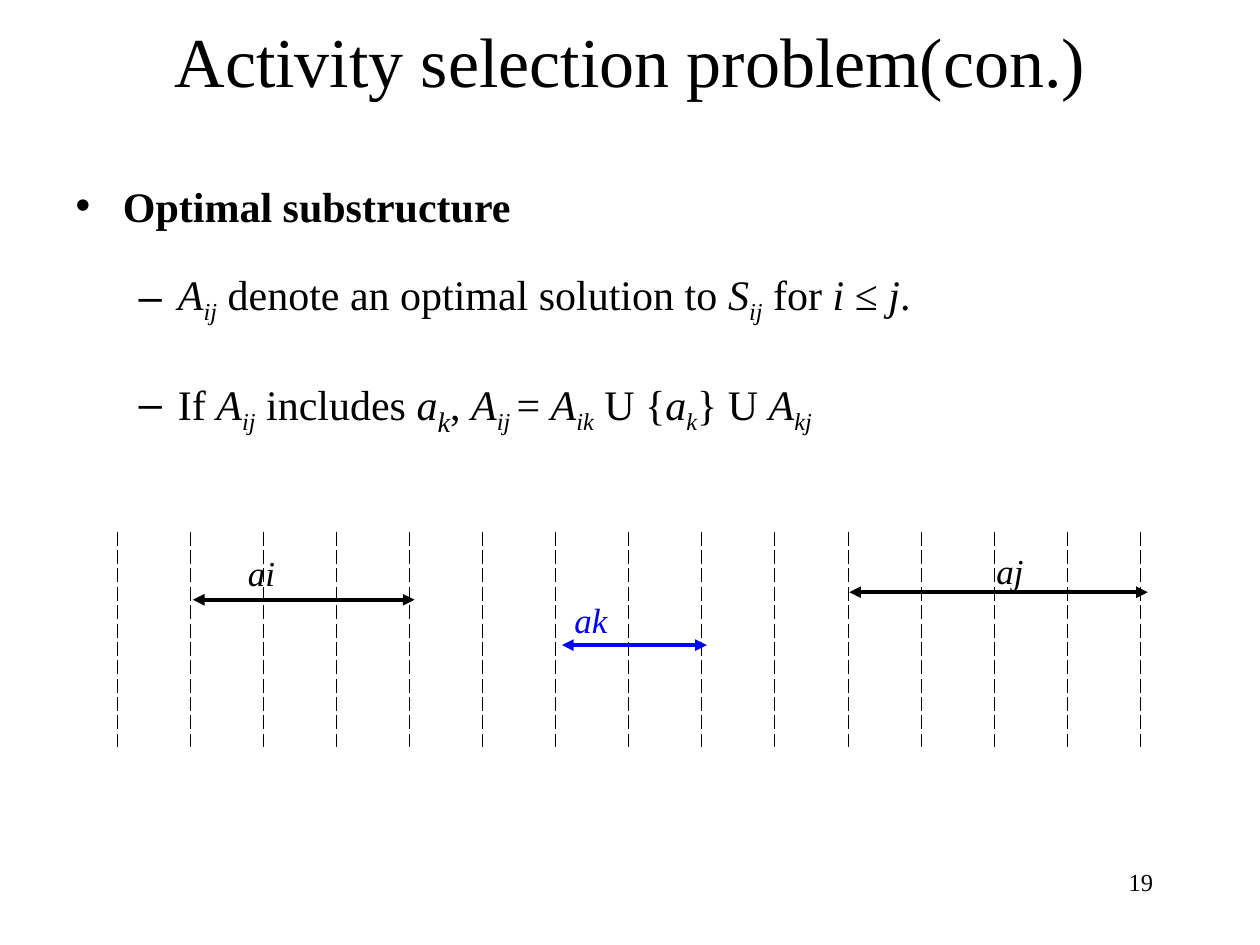
"""Build the activity selection slide with its timeline grid."""
from lxml import etree
from pptx import Presentation
from pptx import util as u
from pptx.dml.color import RGBColor
from pptx.enum import shapes, text
from pptx.oxml.ns import qn

FONT = "Times New Roman"
INK, BLUE = "000000", "0000FF"
TITLE = "Activity selection problem(con.)"
NUMBER = "19"
# Run styles: b bold, i italic, s subscript, l large
BODY = [
    (0, 0, [("Optimal substructure", "b")]),
    (1, 21.5, [("A", "i"), ("ij", "is"), (" denote an optimal solution to ", ""),
               ("S", "i"), ("ij", "is"), (" for ", ""), ("i ", "i"), ("≤", ""),
               (" j", "i"), (".", "")]),
    (1, 26, [("If ", ""), ("A", "i"), ("ij", "is"), (" includes ", ""),
             ("a", "i"), ("k", "isl"), (", ", ""), ("A", "i"), ("ij ", "is"),
             ("= ", ""), ("A", "i"), ("ik", "is"), (" U {", ""), ("a", "i"),
             ("k", "is"), ("} U ", ""), ("A", "i"), ("kj", "is")]),
]
LEFT, TOP, COL, COLS = 0.35, 3.78, 0.58, 16
ROWS = [0.44, 0.57, 0.57, 0.57]
# Label, colour, arrow start, arrow end, arrow height, label box
SPANS = [
    ("ai", INK, 1.53, 3.29, 4.76, (1.87, 4.33, 1.16, 0.44)),
    ("ak", BLUE, 4.46, 5.61, 5.12, (4.46, 4.7, 1.21, 0.44)),
    ("aj", INK, 6.74, 9.11, 4.7, (7.81, 4.31, 0.5, 0.44)),
]


def tint(code):
    """Turn a hex string into a colour."""
    return RGBColor.from_string(code)


def place(item, box):
    """Move an item to a box given in inches."""
    item.left, item.top, item.width, item.height = map(u.Inches, box)


def add_run(para, words, size, style="", code=INK):
    """Add one styled run to a paragraph."""
    run = para.add_run()
    run.text = words
    font = run.font
    font.name, font.size = FONT, u.Pt(size + 4 * ("l" in style))
    font.bold, font.italic = "b" in style, "i" in style
    font.color.rgb = tint(code)
    if "s" in style:
        font._element.set("baseline", "-25000")


def add_label(slide, box, words, size, style="", code=INK, align=text.PP_ALIGN.LEFT):
    """Add a text box with a single run."""
    frame = slide.shapes.add_textbox(*map(u.Inches, box)).text_frame
    frame.word_wrap = True
    para = frame.paragraphs[0]
    para.alignment = align
    add_run(para, words, size, style, code)


def add_edge(cell, side):
    """Draw a thin dashed border on one side of a cell."""
    edge = etree.Element(qn("a:" + side), w=str(u.Pt(0.45)))
    fill = etree.SubElement(edge, qn("a:solidFill"))
    etree.SubElement(fill, qn("a:srgbClr"), val=INK)
    etree.SubElement(edge, qn("a:prstDash"), val="dash")
    props = cell._tc.get_or_add_tcPr()
    props.insert(1 if side == "lnR" and len(props) > 1 else 0, edge)


def add_grid(slide):
    """Add the table whose inner column borders mark time."""
    box = (LEFT, TOP, COL * COLS, sum(ROWS))
    grid = slide.shapes.add_table(len(ROWS), COLS, *map(u.Inches, box)).table
    grid.first_row = grid.horz_banding = False
    grid._tbl.tblPr.find(qn("a:tableStyleId")).text = "{2D5ABB26-0587-4C30-8999-92F81FD0307C}"
    for col in grid.columns:
        col.width = u.Inches(COL)
    for r, high in enumerate(ROWS):
        grid.rows[r].height = u.Inches(high)
        for c in range(COLS):
            cell = grid.cell(r, c)
            cell.fill.background()
            if r and c:
                add_edge(cell, "lnL")
            if r and c < COLS - 1:
                add_edge(cell, "lnR")
    grid.cell(0, 0).merge(grid.cell(0, COLS - 1))


def add_arrow(slide, start, end, y, code):
    """Add a level arrow with a head at both ends."""
    ends = map(u.Inches, (start, y, end, y))
    arrow = slide.shapes.add_connector(shapes.MSO_CONNECTOR.STRAIGHT, *ends)
    arrow.line.color.rgb = tint(code)
    arrow.line.width = u.Pt(2.25)
    for tip in ("headEnd", "tailEnd"):
        etree.SubElement(arrow.line._get_or_add_ln(), qn("a:" + tip), type="triangle")
    etree.SubElement(arrow._element.spPr, qn("a:effectLst"))


def main():
    """Build and save the slide."""
    deck = Presentation()
    deck.slide_width, deck.slide_height = u.Inches(10), u.Inches(7.5)
    slide = deck.slides.add_slide(deck.slide_layouts[1])
    title, body = slide.placeholders
    place(title, (0.5, 0, 9, 0.95))
    place(body, (0.5, 1.33, 9, 4.6))
    for item in (title, body):
        item.text_frame.auto_size = text.MSO_AUTO_SIZE.NONE
    add_run(title.text_frame.paragraphs[0], TITLE, 40)

    frame = body.text_frame
    frame.margin_top = u.Inches(0.1)
    for n, (level, gap, runs) in enumerate(BODY):
        para = frame.add_paragraph() if n else frame.paragraphs[0]
        para.level, para.space_before = level, u.Pt(gap)
        for words, style in runs:
            add_run(para, words, 24, style)

    add_grid(slide)
    for name, code, start, end, y, box in SPANS:
        add_arrow(slide, start, end, y, code)
        add_label(slide, box, name, 20, "i", code)
    add_label(slide, (7.17, 6.83, 2.08, 0.5), NUMBER, 14, align=text.PP_ALIGN.RIGHT)
    deck.save("out.pptx")


if __name__ == "__main__":
    main()
